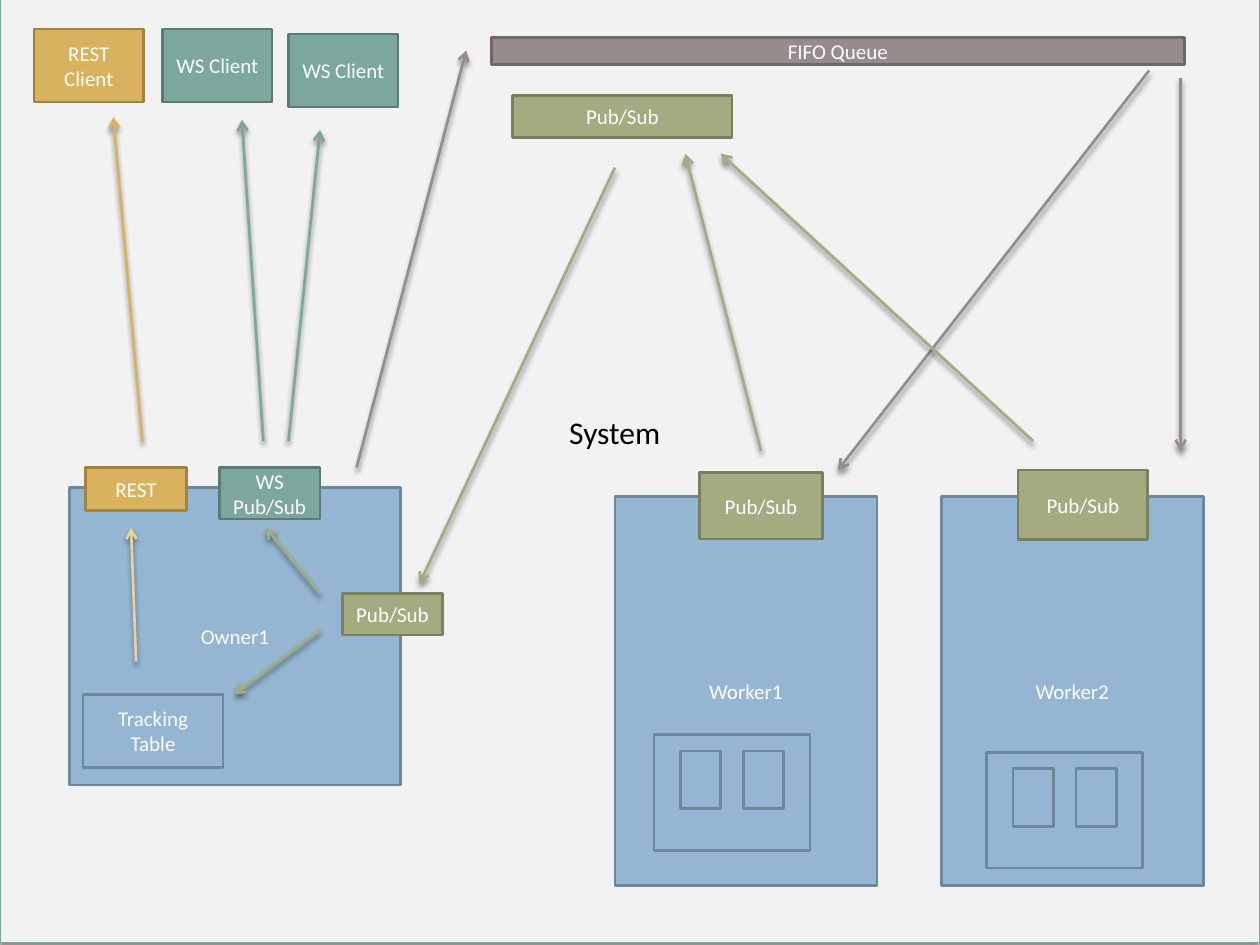
from dataclasses import dataclass

from lxml.etree import SubElement
from pptx import Presentation
from pptx.dml.color import RGBColor
from pptx.enum.shapes import MSO_CONNECTOR as Connector, MSO_SHAPE as Shape
from pptx.enum.text import MSO_ANCHOR as Anchor, PP_ALIGN as Align
from pptx.oxml.ns import qn
from pptx.util import Inches, Pt


@dataclass(frozen=True)
class Theme:
    """Colours as (fill, outline) pairs, with the type and line sizes."""
    panel: tuple = ("F2F2F2", "7BA79D")
    node: tuple = ("94B6D2", "6D879B")
    queue: tuple = ("968C8C", "6F6868")
    pubsub: tuple = ("A5AB81", "7A7F5F")
    socket: tuple = ("7BA79D", "5B7C74")
    rest: tuple = ("D8B25C", "A08444")
    read: tuple = ("E8D19D", "D8B25C")
    dark: str = "000000"
    light: str = "FFFFFF"
    font: str = "Calibri"
    heading: float = 18
    label: float = 12
    thin: float = 0.79
    stroke: float = 1.5


class Diagram:
    """Draws styled elements on the current slide."""

    def __init__(self, page, theme):
        """Keep the slide and its theme."""
        self.page = page
        self.theme = theme

    def box(self, place, colours, *lines, width=None, size=None, ink=None):
        """Add an outlined rectangle with one centred paragraph per line."""
        box = self.page.shapes.add_shape(Shape.RECTANGLE, *map(Inches, place))
        box.shadow.inherit = False
        fill, outline = map(RGBColor.from_string, colours)
        box.fill.solid()
        box.fill.fore_color.rgb = fill
        box.line.color.rgb = outline
        box.line.width = Pt(width or self.theme.stroke)
        frame = box.text_frame
        frame.word_wrap = True
        frame.vertical_anchor = Anchor.MIDDLE
        for index, line in enumerate(lines):
            para = frame.add_paragraph() if index else frame.paragraphs[0]
            para.alignment = Align.CENTER
            span = para.add_run()
            span.text = line
            span.font.name = self.theme.font
            span.font.size = Pt(size or self.theme.label)
            span.font.color.rgb = RGBColor.from_string(ink or self.theme.light)
        return box

    def shade(self, item):
        """Give a shape or connector a soft shadow below it."""
        properties = item.element.spPr
        effects = properties.find(qn("a:effectLst"))
        if effects is None:
            effects = SubElement(properties, qn("a:effectLst"))
        shadow = SubElement(effects, qn("a:outerShdw"), blurRad=str(Pt(3)),
                            dist=str(Pt(2.4)), dir="5400000", rotWithShape="0")
        colour = SubElement(shadow, qn("a:srgbClr"), val=self.theme.dark)
        SubElement(colour, qn("a:alpha"), val="45000")

    def panel(self, place, title):
        """Add the shaded backdrop with its title left of and above centre."""
        theme = self.theme
        panel = self.box(place, theme.panel, title, width=theme.thin,
                         size=theme.heading, ink=theme.dark)
        panel.text_frame.margin_right = Inches(0.34)
        panel.text_frame.margin_bottom = Inches(0.65)
        self.shade(panel)

    def worker(self, left, name, store_left, store_top):
        """Add a worker holding a store with two slots."""
        node = self.theme.node
        self.box((left, 3.94, 2.08, 3.09), node, name)
        self.box((store_left, store_top, 1.24, 0.92), node)
        for offset in (0.21, 0.71):
            self.box((store_left + offset, store_top + 0.13, 0.32, 0.46), node)

    def arrow(self, colours, start, end):
        """Add a shaded straight arrow."""
        arrow = self.page.shapes.add_connector(
            Connector.STRAIGHT, *map(Inches, (*start, *end)))
        arrow.line.color.rgb = RGBColor.from_string(colours[0])
        arrow.line.width = Pt(self.theme.stroke)
        outline = arrow.element.spPr.find(qn("a:ln"))
        SubElement(outline, qn("a:tailEnd"), type="arrow")
        self.shade(arrow)


def main():
    """Build the messaging diagram."""
    deck = Presentation()
    deck.slide_width, deck.slide_height = Inches(10), Inches(7.5)
    theme = Theme()
    diagram = Diagram(deck.slides.add_slide(deck.slide_layouts[6]), theme)

    diagram.panel((0, -0.02, 10, 7.5), "System")
    diagram.box((0.55, 3.87, 2.63, 2.36), theme.node, "Owner1")
    diagram.box((0.66, 5.51, 1.11, 0.58), theme.node, "Tracking Table")
    diagram.box((3.9, 0.3, 5.5, 0.21), theme.queue, "FIFO Queue")
    diagram.box((4.07, 0.76, 1.74, 0.33), theme.pubsub, "Pub/Sub")
    diagram.worker(4.88, "Worker1", 5.19, 5.83)
    diagram.worker(7.47, "Worker2", 7.83, 5.97)

    clients = [
        (1.29, 0.23, theme.socket, "WS Client"),
        (2.29, 0.27, theme.socket, "WS Client"),
        (0.27, 0.23, theme.rest, "REST Client"),
    ]
    for left, top, colours, name in clients:
        diagram.box((left, top, 0.87, 0.58), colours, name)

    diagram.box((0.68, 3.71, 0.8, 0.34), theme.rest, "REST")
    diagram.box((1.74, 3.71, 0.8, 0.41), theme.socket, "WS", "Pub/Sub")
    ports = [
        (2.72, 4.71, 0.79, 0.33),
        (5.55, 3.75, 0.98, 0.53),
        (8.08, 3.73, 1.03, 0.55),
    ]
    for place in ports:
        diagram.box(place, theme.pubsub, "Pub/Sub")

    flows = [
        (theme.queue, (2.83, 3.71), (3.7, 0.4)),
        (theme.queue, (9.12, 0.56), (6.65, 3.73)),
        (theme.queue, (9.37, 0.62), (9.37, 3.58)),
        (theme.pubsub, (6.04, 3.58), (5.44, 1.22)),
        (theme.pubsub, (8.2, 3.5), (5.72, 1.22)),
        (theme.pubsub, (4.88, 1.33), (3.33, 4.63)),
        (theme.rest, (1.13, 3.5), (0.9, 0.93)),
        (theme.socket, (2.09, 3.5), (1.92, 0.95)),
        (theme.socket, (2.29, 3.5), (2.54, 1.03)),
        (theme.pubsub, (2.54, 4.71), (2.11, 4.19)),
        (theme.pubsub, (2.54, 5), (1.86, 5.51)),
        (theme.read, (1.08, 5.25), (1.04, 4.19)),
    ]
    for colours, start, end in flows:
        diagram.arrow(colours, start, end)

    deck.save("out.pptx")


if __name__ == "__main__":
    main()
